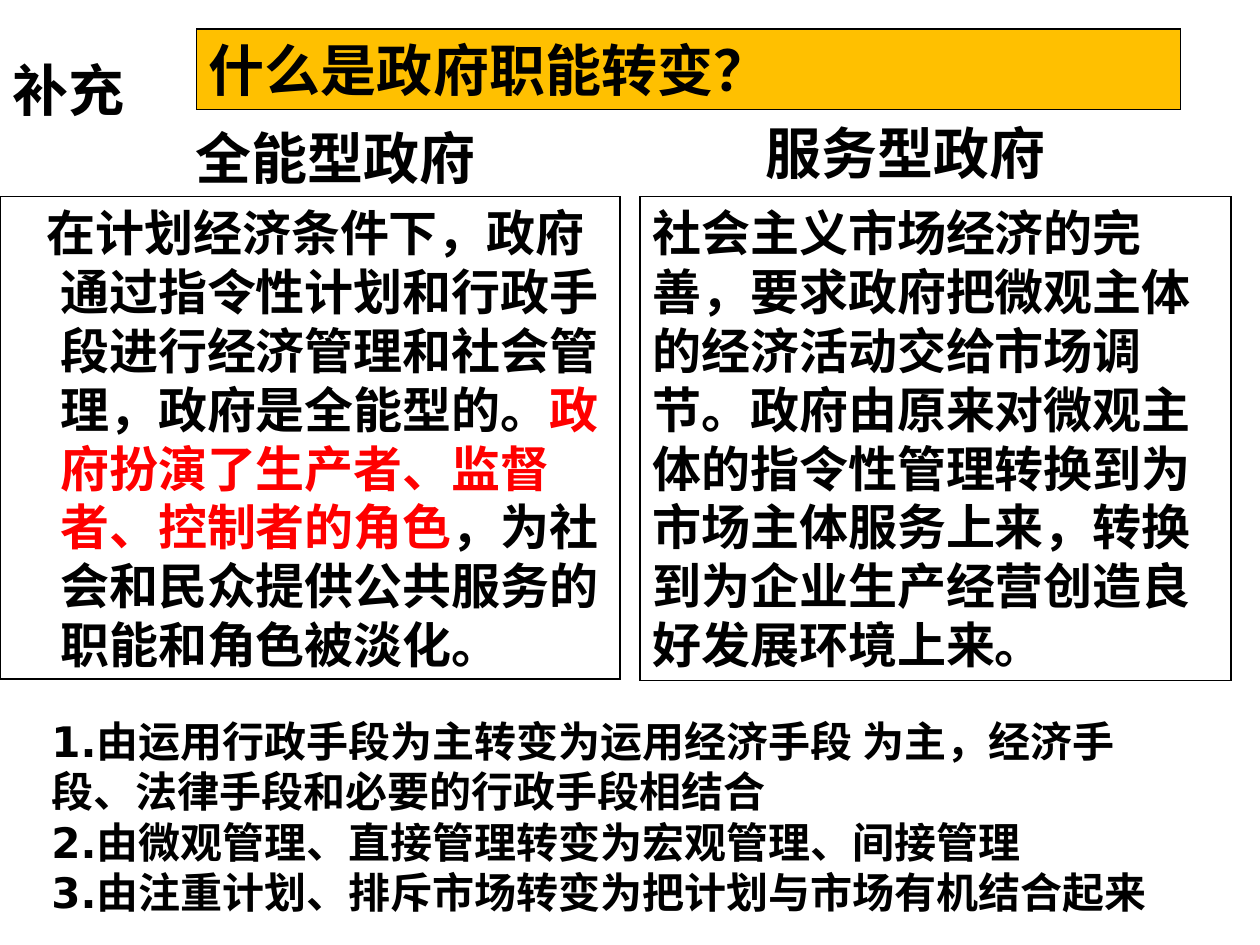
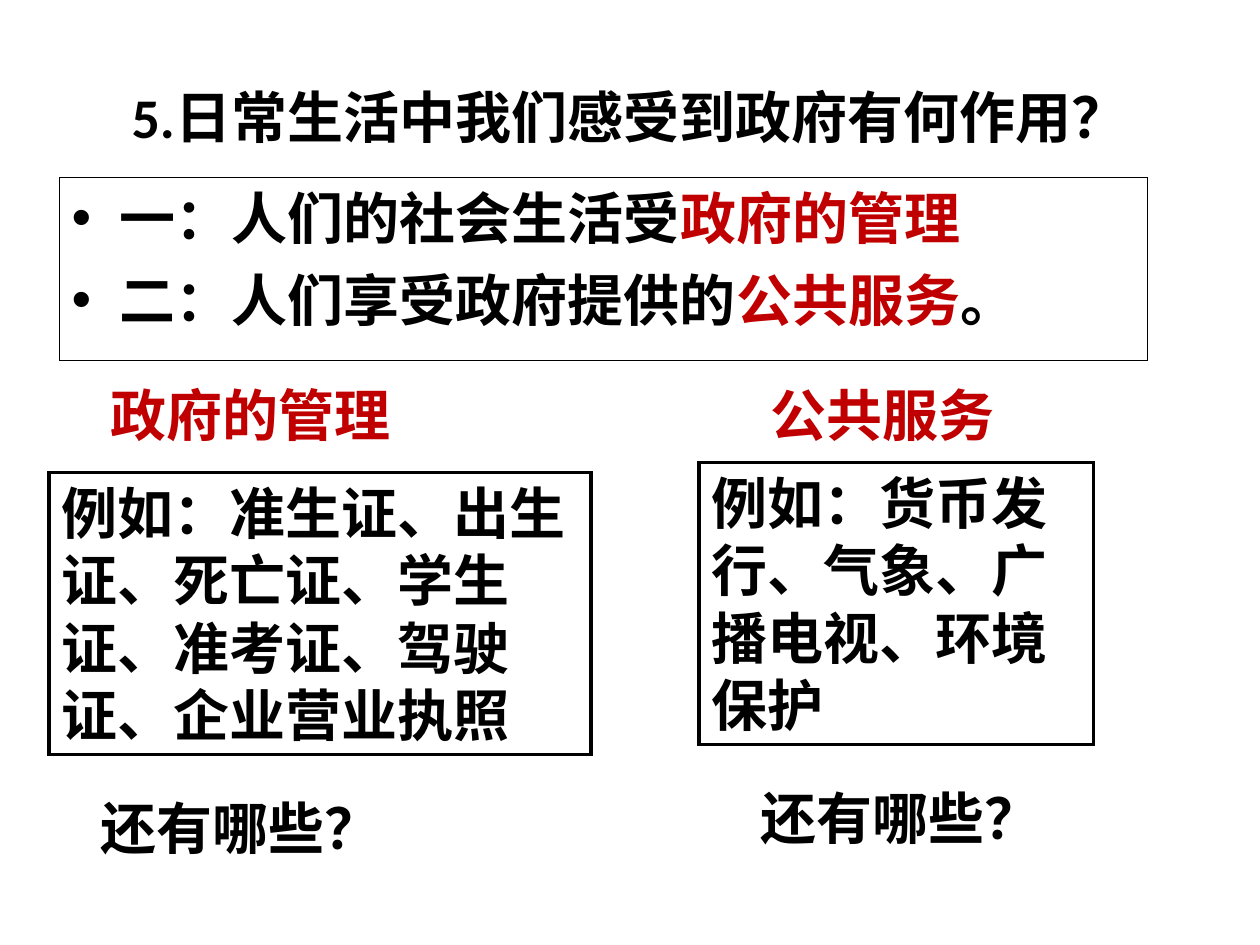
import pptx
import pptx.dml.color
import pptx.enum.lang
import pptx.enum.shapes
import pptx.enum.text
import pptx.oxml
import pptx.oxml.ns
import pptx.util

Inches = pptx.util.Inches
Pt = pptx.util.Pt
Align = pptx.enum.text.PP_ALIGN
Anchor = pptx.enum.text.MSO_ANCHOR

THEME = {
    "ink": "000000", "paper": "FFFFFF", "gold": "FFC000",
    "red": "FF0000", "wine": "C00000",
    "list": 24, "body": 28, "head": 32,
    "main": "Calibri", "plain": "DejaVu Sans",
    "thin": 0.75, "thick": 2,
}


def shade(name):
    return pptx.dml.color.RGBColor.from_string(THEME[name])


def apply(item, values):
    for name, value in values.items():
        setattr(item, name, value)


def insert(parent, tag, traits):
    space = pptx.oxml.ns.nsdecls("a")
    parent.append(pptx.oxml.parse_xml(f"<a:{tag} {space} {traits}/>"))


def indent(props, left, first, mark=None):
    props.set("marL", str(Inches(left)))
    props.set("indent", str(Inches(first)))
    if mark:
        insert(props, "buFont", 'typeface="Arial"')
        insert(props, "buChar", f'char="{mark}"')


def write(shape, paras, size="head", face="main", align=Align.LEFT,
          anchor=Anchor.TOP, before=0, hang=None):
    frame = shape.text_frame
    apply(frame, {
        "word_wrap": True, "vertical_anchor": anchor,
        "margin_left": Inches(0.1), "margin_right": Inches(0.1),
        "margin_top": Inches(0.05), "margin_bottom": Inches(0.05),
    })
    for index, runs in enumerate(paras):
        para = frame.add_paragraph() if index else frame.paragraphs[0]
        apply(para, {"alignment": align, "space_before": Pt(before)})
        props = para._p.get_or_add_pPr()
        props.set("hangingPunct", "0")
        if hang:
            indent(props, *hang)
        for text, tint in runs:
            run = para.add_run()
            run.text = text
            apply(run.font, {
                "name": THEME[face], "size": Pt(THEME[size]), "bold": True,
                "language_id": pptx.enum.lang.MSO_LANGUAGE_ID.SIMPLIFIED_CHINESE,
            })
            run.font.color.rgb = shade(tint)


def label(slide, area, text, tint="ink", **style):
    box = slide.shapes.add_textbox(*map(Inches, area))
    write(box, [[(line, tint)] for line in text.split("\n")], **style)


def title(slide, area, text):
    label(slide, area, text, align=Align.CENTER, anchor=Anchor.MIDDLE)


def panel(slide, area, paras, fill=None, edge="thin", **style):
    kind = pptx.enum.shapes.MSO_SHAPE.RECTANGLE
    box = slide.shapes.add_shape(kind, *map(Inches, area))
    box.shadow.inherit = False
    if fill:
        box.fill.solid()
        box.fill.fore_color.rgb = shade(fill)
    else:
        box.fill.background()
    box.line.color.rgb = shade("ink")
    box.line.width = Pt(THEME[edge])
    insert(box._element.spPr.find(pptx.oxml.ns.qn("a:ln")), "miter", 'lim="800000"')
    write(box, paras, **style)


def change(slide):
    title(slide, (0.55, 0.86, 4.22, 0.78), "全能型政府")
    title(slide, (5.16, 0.86, 4.06, 0.7), "服务型政府")
    panel(slide, (0, 1.56, 4.92, 3.83), [[
        ("在计划经济条件下，政府通过指令性计划和行政手段进行经济管理和社会管理，"
         "政府是全能型的。", "ink"),
        ("政府扮演了生产者、监督者、控制者的角色", "red"),
        ("，为社会和民众提供公共服务的职能和角色被淡化。", "ink"),
    ]], size="body", before=7, hang=(0.38, -0.11))
    panel(slide, (5.08, 1.56, 4.69, 3.84), [[
        ("社会主义市场经济的完善，要求政府把微观主体的经济活动交给市场调节。"
         "政府由原来对微观主体的指令性管理转换到为市场主体服务上来，"
         "转换到为企业生产经营创造良好发展环境上来。", "ink"),
    ]], size="body", face="plain")
    panel(slide, (1.56, 0.23, 7.81, 0.64), [[("什么是政府职能转变？", "ink")]],
          fill="gold", face="plain")
    label(slide, (0.31, 5.63, 9.22, 2.1),
          "1.由运用行政手段为主转变为运用经济手段 为主，经济手段、法律手段和必要的行政手段相结合\n"
          "2.由微观管理、直接管理转变为宏观管理、间接管理\n"
          "3.由注重计划、排斥市场转变为把计划与市场有机结合起来",
          size="list", face="plain")
    label(slide, (0, 0.39, 1.41, 0.64), "补充", face="plain")


def roles(slide):
    title(slide, (0.5, 0.3, 9, 1.25), "5.日常生活中我们感受到政府有何作用？")
    panel(slide, (0.47, 1.41, 8.64, 1.45), [
        [("一：人们的社会生活受", "ink"), ("政府的管理", "wine")],
        [("二：人们享受政府提供的", "ink"), ("公共服务", "wine"), ("。", "ink")],
    ], before=8, hang=(0.38, -0.38, "•"))
    cases = [
        ((0.39, 3.75, 4.3, 2.24), (0.78, 2.97, 2.89, 0.64), 0.7, "政府的管理",
         "例如：准生证、出生证、死亡证、学生证、准考证、驾驶证、企业营业执照"),
        ((5.55, 3.67, 3.13, 2.24), (6.02, 2.97, 2.11, 0.64), 5.94, "公共服务",
         "例如：货币发行、气象、广播电视、环境保护"),
    ]
    for area, top, left, name, text in cases:
        panel(slide, area, [[(text, "ink")]], fill="paper", edge="thick")
        label(slide, top, name, tint="wine", face="plain")
        label(slide, (left, area[1] + 2.5, 3.59, 0.64), "还有哪些？", face="plain")


def main():
    deck = pptx.Presentation()
    apply(deck, {"slide_width": Inches(10), "slide_height": Inches(7.5)})
    for build in (change, roles):
        build(deck.slides.add_slide(deck.slide_layouts[6]))
    deck.save("out.pptx")


if __name__ == "__main__":
    main()
